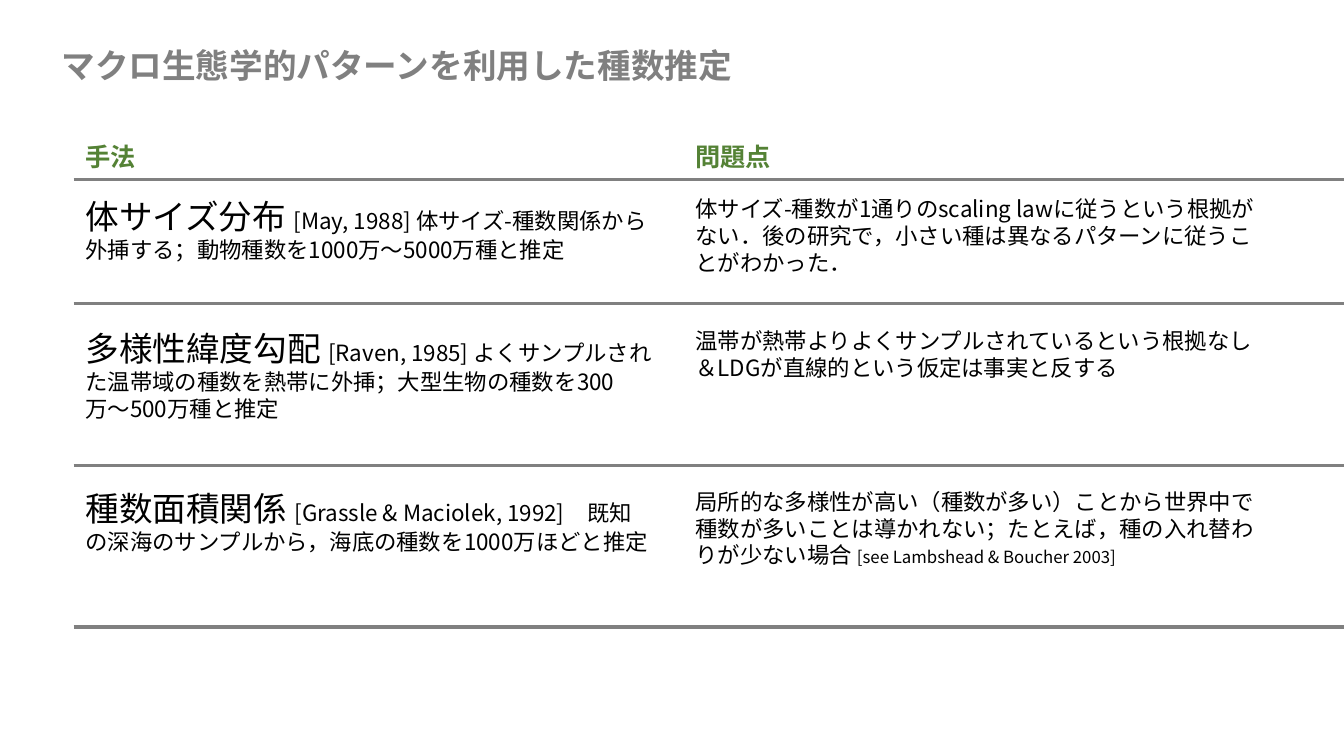
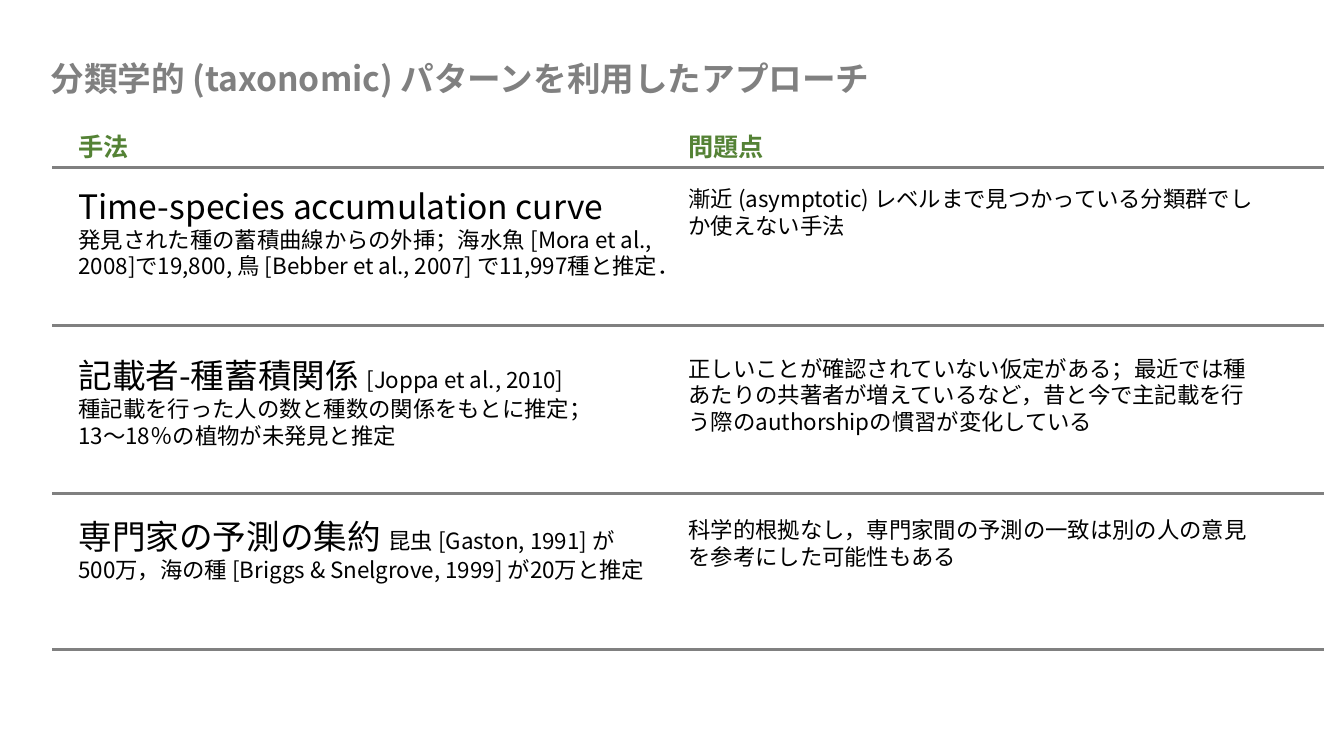
from dataclasses import dataclass

import lxml.etree
import pptx
import pptx.dml.color
import pptx.enum.shapes
import pptx.enum.text
import pptx.oxml.ns
import pptx.util

EMU_PER_PX = 9144  # 100 px to the inch
SLIDE_W, SLIDE_H = 1333, 750
FONT = "Noto Sans CJK JP"
COLORS = {"grey": "808080", "green": "548235", "black": "000000"}
TITLE_SIZE, HEADER_SIZE, NAME_SIZE, BODY_SIZE, NOTE_SIZE = 24, 18, 24, 16, 12
COLUMN_W, COLUMN_GAP = 583, 605
RULE_W, RULE_PT = 1261, 2.25


@dataclass(frozen=True)
class Run:
    text: str
    size: int = BODY_SIZE


@dataclass(frozen=True)
class Cell:
    height: int
    paragraphs: list[list[Run]]
    width: int = COLUMN_W


@dataclass(frozen=True)
class Row:
    top: int
    method: Cell
    problem: Cell


@dataclass(frozen=True)
class Page:
    title: str
    title_at: tuple[int, int]
    left: int
    header_top: int
    rule_left: int
    rule_tops: list[int]
    rows: list[Row]


PAGES = [
    Page(
        "マクロ生態学的パターンを利用した種数推定",
        (51, 40), 75, 135, 73, [178, 301, 462, 622],
        [
            Row(
                189,
                Cell(77, [[
                    Run("体サイズ分布 ", NAME_SIZE),
                    Run("[May, 1988] 体サイズ-種数関係から外挿する；"
                        "動物種数を1000万〜5000万種と推定"),
                ]]),
                Cell(91, [[
                    Run("体サイズ-種数が1通りのscaling lawに従うという根拠がない．"
                        "後の研究で，小さい種は異なるパターンに従うことがわかった．"),
                ]]),
            ),
            Row(
                320,
                Cell(104, [[
                    Run("多様性緯度勾配 ", NAME_SIZE),
                    Run("[Raven, 1985] よくサンプルされた温帯域の種数を熱帯に外挿；"
                        "大型生物の種数を300万〜500万種と推定"),
                ]]),
                Cell(64, [[
                    Run("温帯が熱帯よりよくサンプルされているという根拠なし"
                        "＆LDGが直線的という仮定は事実と反する"),
                ]]),
            ),
            Row(
                479,
                Cell(104, [[
                    Run("種数面積関係 ", NAME_SIZE),
                    Run("[Grassle & Maciolek, 1992]　既知の深海のサンプルから，"
                        "海底の種数を1000万ほどと推定"),
                ]]),
                Cell(91, [[
                    Run("局所的な多様性が高い（種数が多い）ことから世界中で種数が多いことは"
                        "導かれない；たとえば，種の入れ替わりが少ない場合 "),
                    Run("[see Lambshead & Boucher 2003]", NOTE_SIZE),
                ]]),
            ),
        ],
    ),
    Page(
        "分類学的 (taxonomic) パターンを利用したアプローチ",
        (40, 52), 68, 125, 52, [166, 323, 490, 644],
        [
            Row(
                179,
                Cell(131, [
                    [Run("Time-species accumulation curve", NAME_SIZE)],
                    [Run("発見された種の蓄積曲線からの外挿；海水魚 [Mora et al., 2008]で19,800, "
                         "鳥 [Bebber et al., 2007] で11,997種と推定．")],
                ], 605),
                Cell(64, [[
                    Run("漸近 (asymptotic) レベルまで見つかっている分類群でしか使えない手法"),
                ]]),
            ),
            Row(
                347,
                Cell(104, [
                    [Run("記載者-種蓄積関係 ", NAME_SIZE), Run("[Joppa et al., 2010]")],
                    [Run("種記載を行った人の数と種数の関係をもとに推定；")],
                    [Run("13〜18％の植物が未発見と推定")],
                ]),
                Cell(91, [[
                    Run("正しいことが確認されていない仮定がある；最近では種あたりの共著者が"
                        "増えているなど，昔と今で主記載を行う際のauthorshipの慣習が変化している"),
                ]]),
            ),
            Row(
                507,
                Cell(104, [[
                    Run("専門家の予測の集約 ", NAME_SIZE),
                    Run("昆虫 [Gaston, 1991] が500万，"
                        "海の種 [Briggs & Snelgrove, 1999] が20万と推定"),
                ]]),
                Cell(64, [[
                    Run("科学的根拠なし，専門家間の予測の一致は別の人の意見を"
                        "参考にした可能性もある"),
                ]]),
            ),
        ],
    ),
]


def px(n: int) -> pptx.util.Emu:
    return pptx.util.Emu(n * EMU_PER_PX)


def rgb(color: str) -> pptx.dml.color.RGBColor:
    return pptx.dml.color.RGBColor.from_string(COLORS[color])


def format_run(r, size: int, color: str, bold: bool = False) -> None:
    """Style a run, giving Latin and East Asian text the same font."""
    r.font.name = FONT
    r.font.size = pptx.util.Pt(size)
    r.font.bold = bold
    r.font.color.rgb = rgb(color)
    ea = lxml.etree.SubElement(r.font._element, pptx.oxml.ns.qn("a:ea"))
    ea.set("typeface", FONT)


def add_title(s, page: Page) -> None:
    sp = s.shapes.title
    left, top = page.title_at
    sp.left, sp.top, sp.width, sp.height = px(left), px(top), px(1258), px(50)
    tf = sp.text_frame
    tf.text = page.title
    tf.word_wrap = True
    tf.auto_size = pptx.enum.text.MSO_AUTO_SIZE.SHAPE_TO_FIT_TEXT
    tf.vertical_anchor = pptx.enum.text.MSO_ANCHOR.TOP
    p = tf.paragraphs[0]
    p.alignment = pptx.enum.text.PP_ALIGN.LEFT
    format_run(p.runs[0], TITLE_SIZE, "grey", bold=True)


def add_text_frame(s, left: int, top: int, width: int, height: int, wrap: bool):
    sp = s.shapes.add_textbox(px(left), px(top), px(width), px(height))
    tf = sp.text_frame
    tf.word_wrap = wrap
    tf.auto_size = pptx.enum.text.MSO_AUTO_SIZE.SHAPE_TO_FIT_TEXT
    return tf


def add_header(s, text: str, left: int, top: int, width: int) -> None:
    tf = add_text_frame(s, left, top, width, 40, wrap=False)
    tf.text = text
    format_run(tf.paragraphs[0].runs[0], HEADER_SIZE, "green", bold=True)


def add_cell(s, cell: Cell, left: int, top: int) -> None:
    tf = add_text_frame(s, left, top, cell.width, cell.height, wrap=True)
    for i, runs in enumerate(cell.paragraphs):
        p = tf.add_paragraph() if i else tf.paragraphs[0]
        for run in runs:
            r = p.add_run()
            r.text = run.text
            format_run(r, run.size, "black")


def add_rule(s, left: int, top: int) -> None:
    line = s.shapes.add_connector(
        pptx.enum.shapes.MSO_CONNECTOR.STRAIGHT,
        px(left), px(top), px(left + RULE_W), px(top))
    line.line.color.rgb = rgb("grey")
    line.line.width = pptx.util.Pt(RULE_PT)
    lxml.etree.SubElement(line._element.spPr, pptx.oxml.ns.qn("a:effectLst"))


def add_page(prs, page: Page) -> None:
    s = prs.slides.add_slide(prs.slide_layouts.get_by_name("Title Only"))
    add_title(s, page)
    right = page.left + COLUMN_GAP
    add_header(s, "手法", page.left, page.header_top, 72)
    add_header(s, "問題点", right, page.header_top, 98)
    for row in page.rows:
        add_cell(s, row.method, page.left, row.top)
        add_cell(s, row.problem, right, row.top)
    for top in page.rule_tops:
        add_rule(s, page.rule_left, top)


def main() -> None:
    prs = pptx.Presentation()
    prs.slide_width, prs.slide_height = px(SLIDE_W), px(SLIDE_H)
    for page in PAGES:
        add_page(prs, page)
    prs.save("out.pptx")


if __name__ == "__main__":
    main()
